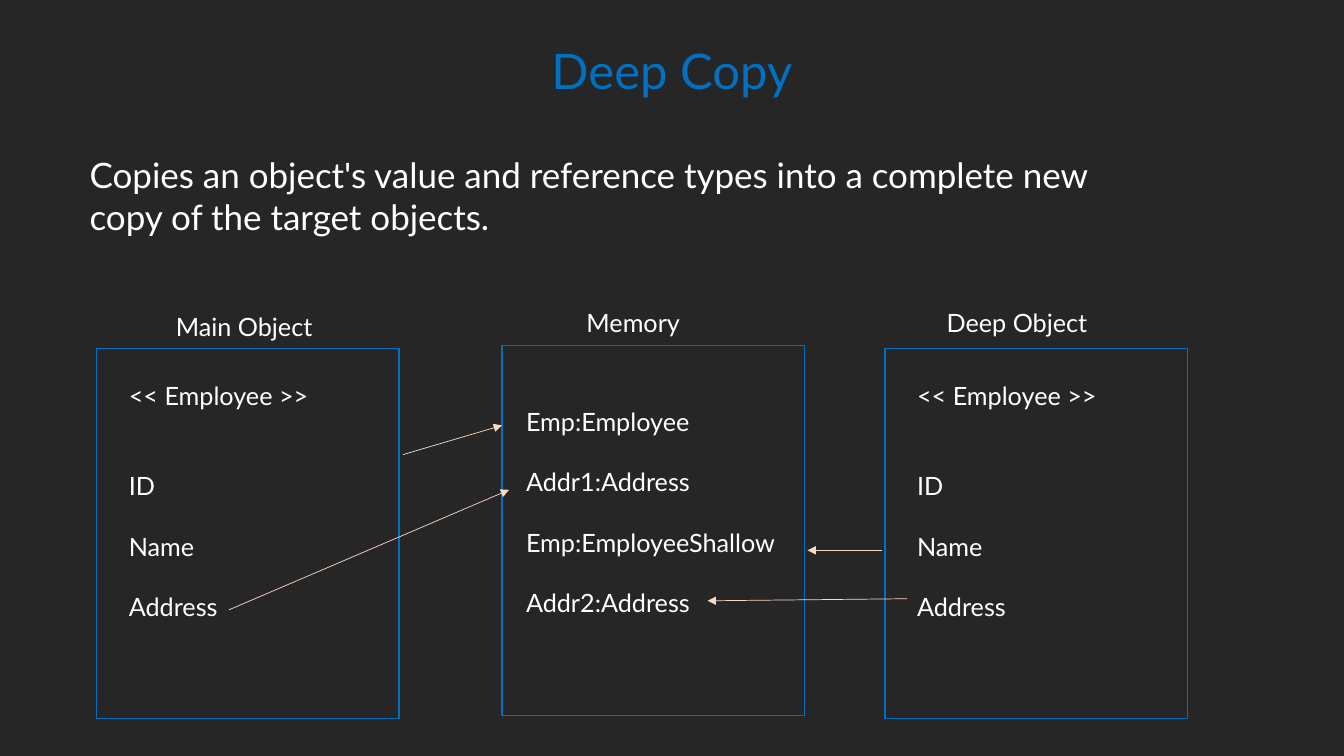
from pptx import Presentation
from pptx.dml.color import RGBColor
from pptx.enum.shapes import MSO_CONNECTOR, MSO_SHAPE
from pptx.enum.text import MSO_ANCHOR, MSO_AUTO_SIZE, PP_ALIGN
from pptx.oxml.ns import qn
from pptx.util import Inches, Pt
from lxml.etree import SubElement

DARK = RGBColor(0x26, 0x26, 0x26)
BLUE = RGBColor(0x00, 0x70, 0xC0)
WHITE = RGBColor(0xFF, 0xFF, 0xFF)
PEACH = RGBColor(0xFC, 0xD9, 0xC4)
FONT = "Lato"
WIDTH, HEIGHT = Inches(13.33), Inches(7.5)
BOX_W, BOX_H = 22.5, 48.93
LINE = 21.6

EMPLOYEE = [("<< Employee >>", 0), ("ID", 2), ("Name", 1), ("Address", 1)]
MEMORY = [("Emp:Employee", 0), ("Addr1:Address", 1),
          ("Emp:EmployeeShallow", 1), ("Addr2:Address", 1)]
PANELS = [
    ("Main Object", (12.35, 40.53), (7.2, 46.13), EMPLOYEE, (8.85, 49.6)),
    ("Memory", (42.9, 40), (37.35, 45.73), MEMORY, (38.4, 53.07)),
    ("Deep Object", (69.7, 40), (65.85, 46.13), EMPLOYEE, (67.5, 49.6)),
]
ARROWS = [
    ((17.03, 80.67), (37.88, 64.8)),
    ((67.5, 79.2), (52.65, 79.47)),
    ((30, 60.13), (37.35, 56.27)),
    ((65.63, 72.8), (60.08, 72.8)),
]


def x(percent):
    """Turn a percentage of the slide width into a length."""
    return round(WIDTH * percent / 100)


def y(percent):
    """Turn a percentage of the slide height into a length."""
    return round(HEIGHT * percent / 100)


def write(p, text, size=18, color=WHITE, align=PP_ALIGN.LEFT, before=0, spacing=1.0):
    """Write formatted text into a paragraph."""
    p.alignment, p.space_before, p.line_spacing = align, Pt(before), spacing
    r = p.add_run()
    r.text = text
    r.font.name, r.font.size, r.font.color.rgb = FONT, Pt(size), color


def add_title(s, text):
    """Place and format the title placeholder."""
    sp = s.shapes.title
    sp.left, sp.top, sp.width, sp.height = x(3.5), y(6.27), x(93), y(7.87)
    tf = sp.text_frame
    tf.margin_left = tf.margin_right = tf.margin_top = tf.margin_bottom = 0
    tf.vertical_anchor, tf.auto_size = MSO_ANCHOR.TOP, MSO_AUTO_SIZE.NONE
    write(tf.paragraphs[0], text, size=35, color=BLUE,
          align=PP_ALIGN.CENTER, spacing=0.9)


def add_text(s, lines, at, w, h, **fmt):
    """Add a text box of lines, each with a count of empty lines above it."""
    sp = s.shapes.add_textbox(x(at[0]), y(at[1]), x(w), y(h))
    tf = sp.text_frame
    tf.word_wrap = True
    for i, (text, gap) in enumerate(lines):
        p = tf.add_paragraph() if i else tf.paragraphs[0]
        write(p, text, before=gap * LINE, **fmt)


def add_box(s, at):
    """Add an outlined object box."""
    sp = s.shapes.add_shape(MSO_SHAPE.RECTANGLE, x(at[0]), y(at[1]), x(BOX_W), y(BOX_H))
    sp.shadow.inherit = False
    sp.fill.background()
    sp.line.color.rgb, sp.line.width = BLUE, Pt(1)


def add_arrow(s, start, end):
    """Add a thin reference arrow."""
    sp = s.shapes.add_connector(MSO_CONNECTOR.STRAIGHT, x(start[0]), y(start[1]),
                                x(end[0]), y(end[1]))
    sp.line.color.rgb, sp.line.width = PEACH, Pt(0.5)
    SubElement(sp.line._get_or_add_ln(), qn("a:tailEnd"), type="triangle")
    SubElement(sp._element.spPr, qn("a:effectLst"))


def main():
    """Build the slide and save it."""
    prs = Presentation()
    prs.slide_width, prs.slide_height = WIDTH, HEIGHT
    s = prs.slides.add_slide(prs.slide_layouts[5])
    s.background.fill.solid()
    s.background.fill.fore_color.rgb = DARK
    add_title(s, "Deep Copy")
    add_text(s, [("Copies an object's value and reference types into a complete new "
                  "copy of the target objects.", 0)], (5.93, 19.6), 81.3, 12.53, size=25)
    for label, label_at, box_at, fields, fields_at in PANELS:
        add_box(s, box_at)
        add_text(s, fields, fields_at, 20.55, 33.6)
        add_text(s, [(label, 0)], label_at, 13, 5.33)
    for start, end in ARROWS:
        add_arrow(s, start, end)
    prs.save("out.pptx")


if __name__ == "__main__":
    main()
